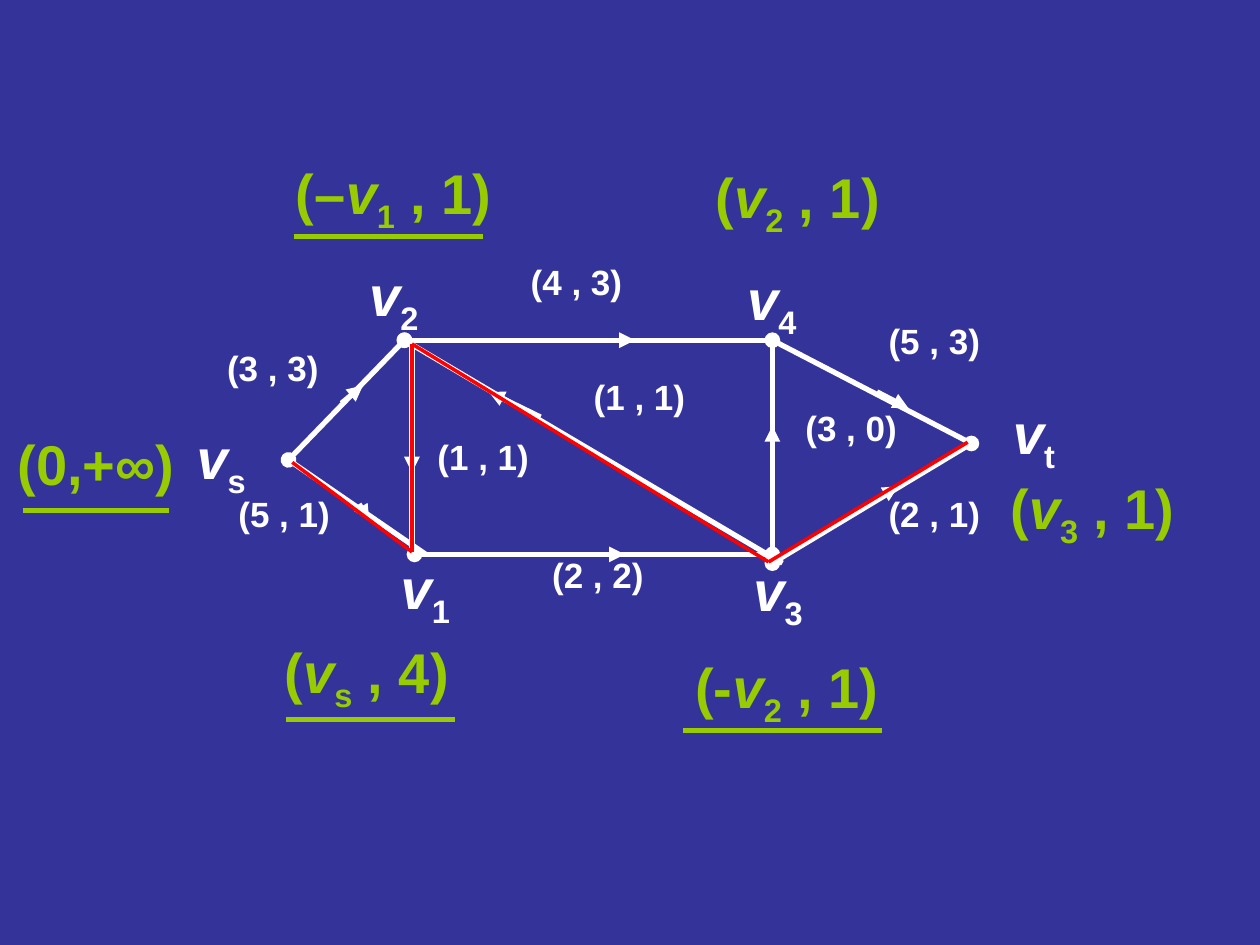
import pptx
import pptx.util
import pptx.dml.color
import pptx.enum.shapes
import pptx.enum.text
import pptx.oxml.ns
from lxml import etree

COLUMNS, ROWS = 10, 7.5
CELL = pptx.util.Inches(1)
NAVY, GREEN, WHITE, RED = "333399", "99CC00", "FFFFFF", "FF0000"

UNDERLINES = [(0.18, 1.34, 4.05), (2.27, 3.61, 5.71), (2.33, 3.83, 1.88), (5.42, 7, 5.8)]
VERTEX_LABELS = [
    ("s", 1.38, 3.31, 0.75), ("1", 2.96, 4.34, 0.83), ("2", 2.71, 2.02, 0.83),
    ("3", 5.76, 4.36, 0.83), ("4", 5.71, 2.05, 0.83), ("t", 7.79, 3.11, 0.83),
]
FLOW_LABELS = [
    ("(3 , 3)", 1.54, 2.7), ("(5 , 1)", 1.63, 3.86), ("(4 , 3)", 3.95, 2.02),
    ("(1 , 1)", 4.45, 2.93), ("(1 , 1)", 3.21, 3.41), ("(2 , 2)", 4.12, 4.34),
    ("(3 , 0)", 6.13, 3.18), ("(5 , 3)", 6.79, 2.49), ("(2 , 1)", 6.79, 3.86),
]
MARKS = [
    ("(–", "1", " , 1)", 2.25, 1.21), ("(", "2", " , 1)", 5.58, 1.24),
    ("(-", "2", " , 1)", 5.42, 5.13), ("(", "3", " , 1)", 7.92, 3.71),
    ("(", "s", " , 4)", 2.16, 5.01),
]
VS, V2, V4, V3, VT = (2.29, 3.65), (3.21, 2.7), (6.13, 2.7), (6.13, 4.47), (7.71, 3.52)
DOTTED_EDGES = [(VS, V2), (V2, V4), ((3.29, 4.4), (6.13, 4.4)), (VT, V3)]
PLAIN_EDGES = [(VS, (3.38, 4.4)), (V4, V3), (V4, VT),
               ((3.27, 2.73), (3.27, 4.38)), (V2, (6.21, 4.47))]
DIRECTIONS = [
    ((2.71, 3.2), (2.88, 3.06)), ((2.85, 4), (2.93, 4.13)),
    ((4.54, 2.7), (5.04, 2.7)), ((4.38, 4.4), (4.96, 4.4)),
    ((4.29, 3.31), (3.88, 3.11)), ((6.13, 3.72), (6.13, 3.38)),
    ((6.96, 3.11), (7.21, 3.24)), ((6.79, 4.06), (7.13, 3.86)),
    ((3.27, 3.28), (3.27, 3.75)),
]
AUGMENTING_PATH = [(2.32, 3.67), (3.27, 4.38), (3.27, 2.73), (6.1, 4.46), (7.68, 3.51)]


def cells(count):
    return round(count * CELL)


def color(value):
    return pptx.dml.color.RGBColor.from_string(value)


def add_line(shapes, start, end, value, weight=3, head=None, tail=None):
    line = shapes.add_connector(pptx.enum.shapes.MSO_CONNECTOR.STRAIGHT,
                                *map(cells, start + end))
    line.line.color.rgb = color(value)
    line.line.width = pptx.util.Pt(weight)
    outline = line.line._get_or_add_ln()
    for tag, kind in (("a:headEnd", head), ("a:tailEnd", tail)):
        if kind:
            etree.SubElement(outline, pptx.oxml.ns.qn(tag), type=kind)
    etree.SubElement(line._element.spPr, pptx.oxml.ns.qn("a:effectLst"))


def add_label(shapes, runs, left, top, width, height, value, size=32, centred=False):
    label = shapes.add_textbox(*map(cells, (left, top, width, height)))
    frame = label.text_frame
    frame.word_wrap = True
    frame.auto_size = pptx.enum.text.MSO_AUTO_SIZE.SHAPE_TO_FIT_TEXT
    paragraph = frame.paragraphs[0]
    align = pptx.enum.text.PP_ALIGN
    paragraph.alignment = align.CENTER if centred else align.LEFT
    for text, role in runs:
        run = paragraph.add_run()
        run.text = text
        run.font.name = "Arial"
        run.font.size = pptx.util.Pt(size)
        run.font.bold = True
        run.font.italic = role == "variable"
        run.font.color.rgb = color(value)
        if role == "subscript":
            run.font._element.set("baseline", "-25000")


def vertex(index):
    return [("v", "variable"), (index, "subscript")]


def add_network(shapes):
    for start, end in DOTTED_EDGES:
        add_line(shapes, start, end, WHITE, head="oval", tail="oval")
    for start, end in PLAIN_EDGES:
        add_line(shapes, start, end, WHITE)
    for start, end in DIRECTIONS:
        add_line(shapes, start, end, WHITE, tail="triangle")
    for index, left, top, width in VERTEX_LABELS:
        add_label(shapes, vertex(index), left, top, width, 0.71, WHITE, centred=True)
    for flow, left, top in FLOW_LABELS:
        add_label(shapes, [(flow, "plain")], left, top, 1.25, 0.44, WHITE, 20, True)


def add_marks(shapes):
    for opening, index, closing, left, top in MARKS:
        runs = [(opening, "plain"), *vertex(index), (closing, "plain")]
        add_label(shapes, runs, left, top, 1.75, 0.71, GREEN)
    add_label(shapes, [("(0,+∞)", "plain")], 0.04, 3.36, 1.58, 0.64, GREEN)
    for left, right, level in UNDERLINES:
        add_line(shapes, (left, level), (right, level), GREEN)


def add_augmenting_path(shapes):
    for start, end in zip(AUGMENTING_PATH, AUGMENTING_PATH[1:]):
        add_line(shapes, start, end, RED, 2)


def main():
    deck = pptx.Presentation()
    deck.slide_width, deck.slide_height = cells(COLUMNS), cells(ROWS)
    slide = deck.slides.add_slide(deck.slide_layouts[6])
    slide.background.fill.solid()
    slide.background.fill.fore_color.rgb = color(NAVY)
    add_marks(slide.shapes)
    add_network(slide.shapes.add_group_shape().shapes)
    add_augmenting_path(slide.shapes.add_group_shape().shapes)
    deck.save("out.pptx")


if __name__ == "__main__":
    main()
